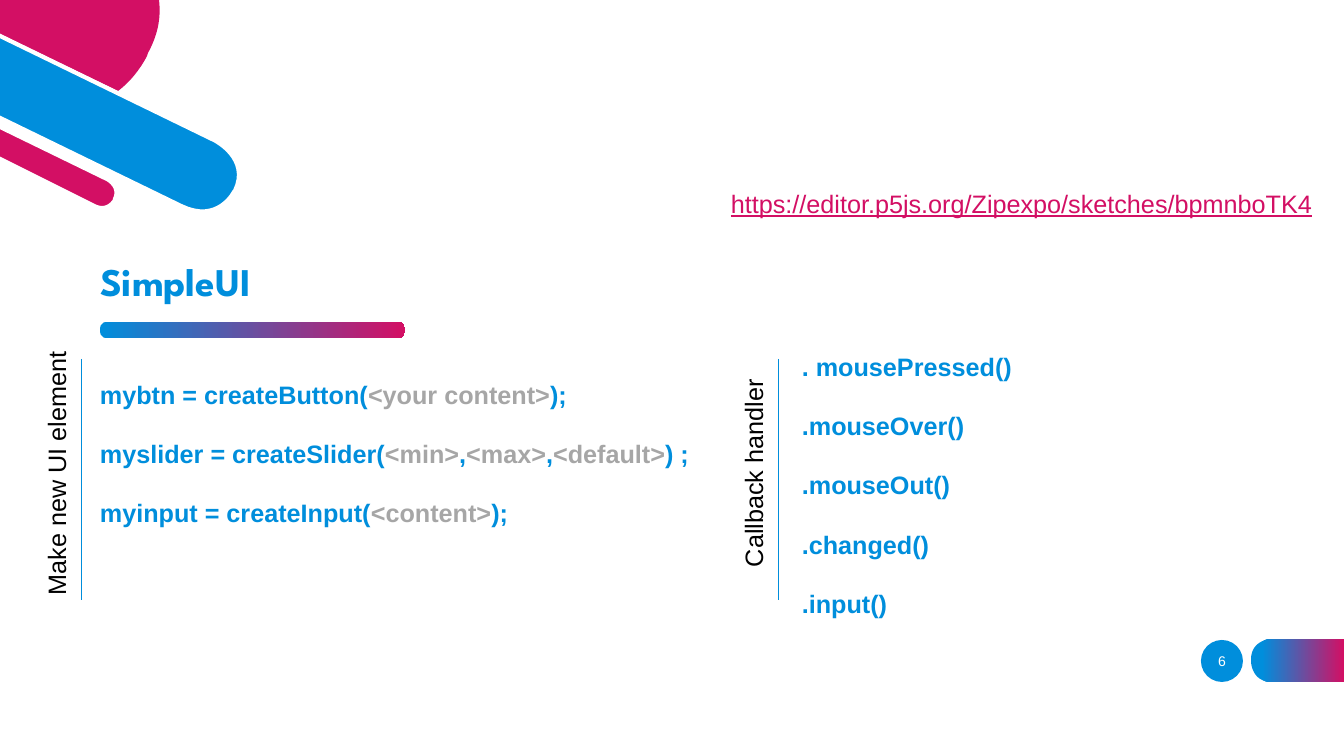
import pptx
import pptx.util
import pptx.dml.color
import pptx.enum.shapes
import pptx.enum.text
import pptx.oxml.ns
import lxml.etree

TITLE = "SimpleUI"
LINK = "https://editor.p5js.org/Zipexpo/sketches/bpmnboTK4"
PAGE_NUMBER = "6"
CREATORS = [
    ["mybtn = createButton(", "<your content>", ");"],
    ["myslider = createSlider(", "<min>", ",", "<max>", ",", "<default>", ") ;"],
    ["myinput = createInput(", "<content>", ");"],
]
HANDLERS = [[". mousePressed()"], [".mouseOver()"], [".mouseOut()"], [".changed()"], [".input()"]]
COLUMNS = [
    {"label": "Make new UI element", "label_width": 266, "rule_x": 81,
     "code": CREATORS, "code_box": (90, 359, 625, 204)},
    {"label": "Callback handler", "label_width": 210, "rule_x": 778,
     "code": HANDLERS, "code_box": (792, 331, 552, 204)},
]
COLORS = {"blue": "008EDC", "pink": "D30F64", "gray": "A6A6A6", "black": "000000", "white": "FFFFFF"}
DISC = [(147, 56), (147, 56, 137, 77, 118, 91), (0, 34), (0, 0), (159, 0), (161, 15, 159, 33, 148, 53)]
PILL = [(-6, 124), (107, 179), (107, 179, 121, 186, 115, 199), (115, 200),
        (115, 200, 108, 213, 94, 206), (-6, 156)]
BAND = [(214, 140), (214, 140, 251, 158, 235, 191), (234, 192),
        (234, 192, 218, 224, 181, 206), (-6, 115), (-6, 33)]
TAB = [(1272, 682), (1344, 682), (1344, 639), (1272, 639), (1272, 639, 1251, 639, 1251, 660),
       (1251, 661), (1251, 661, 1251, 682, 1272, 682)]
RULE_TOP, RULE_BOTTOM = 359, 600
LABEL_CENTER_Y, LABEL_HEIGHT, LABEL_GAP = 472, 40, 25
CURVE_STEPS = 16
SCALE = 914400 / 100.8


def emu(*pixels):
    return [pptx.util.Emu(round(pixel * SCALE)) for pixel in pixels]


def rgb(name):
    return pptx.dml.color.RGBColor.from_string(COLORS[name])


def flatten(outline):
    points = [outline[0]]
    for step in outline[1:]:
        if len(step) == 2:
            points.append(step)
            continue
        controls = [points[-1], step[:2], step[2:4], step[4:]]
        for index in range(1, CURVE_STEPS + 1):
            t = index / CURVE_STEPS
            weights = [(1 - t) ** 3, 3 * t * (1 - t) ** 2, 3 * t ** 2 * (1 - t), t ** 3]
            points.append(tuple(sum(w * c[axis] for w, c in zip(weights, controls)) for axis in (0, 1)))
    return points


def paint(shape, color, edge=None):
    shape.shadow.inherit = False
    shape.fill.solid()
    shape.fill.fore_color.rgb = rgb(color)
    if edge:
        shape.line.color.rgb = rgb(edge)
        shape.line.width = pptx.util.Pt(3)
    else:
        shape.line.fill.background()


def paint_gradient(shape, start):
    paint(shape, "blue")
    shape.fill.gradient()
    shape.fill.gradient_angle = 0
    for stop, color, position in zip(shape.fill.gradient_stops, ("blue", "pink"), (start, 1)):
        stop.color.rgb = rgb(color)
        stop.position = position


def add_outline(outline):
    points = [emu(*point) for point in flatten(outline)]
    builder = page.shapes.build_freeform(*points[0], scale=1.0)
    builder.add_line_segments(points[1:], close=True)
    return builder.convert_to_shape()


def style(span, color, size=18, bold=False, font="Arial"):
    span.font.name = font
    span.font.size = pptx.util.Pt(size)
    span.font.bold = bold
    span.font.color.rgb = rgb(color)


def add_line_of_text(frame, color):
    box = page.shapes.add_textbox(*emu(*frame))
    box.text_frame.word_wrap = False
    return box


def add_label(text, width, center_x):
    frame = (center_x - width / 2, LABEL_CENTER_Y - LABEL_HEIGHT / 2, width, LABEL_HEIGHT)
    box = add_single_line(text, frame, "black")
    box.rotation = 270


def add_single_line(text, frame, color):
    box = page.shapes.add_textbox(*emu(*frame))
    box.text_frame.word_wrap = False
    box.text_frame.text = text
    style(box.text_frame.paragraphs[0].runs[0], color)
    return box


def add_code(lines, frame):
    text_frame = page.shapes.add_textbox(*emu(*frame)).text_frame
    text_frame.word_wrap = True
    for index, parts in enumerate(lines):
        para = text_frame.add_paragraph() if index else text_frame.paragraphs[0]
        para.line_spacing = 1.5
        para.space_before = pptx.util.Pt(10)
        for position, part in enumerate(parts):
            span = para.add_run()
            span.text = part
            style(span, "gray" if position % 2 else "blue", bold=True)


def add_rule(x):
    rule = page.shapes.add_connector(
        pptx.enum.shapes.MSO_CONNECTOR.STRAIGHT, *emu(x, RULE_TOP, x, RULE_BOTTOM))
    rule.line.color.rgb = rgb("blue")
    rule.line.width = pptx.util.Pt(0.5)
    lxml.etree.SubElement(rule._element.spPr, pptx.oxml.ns.qn("a:effectLst"))


deck = pptx.Presentation()
deck.slide_width, deck.slide_height = emu(1344, 756)
page = deck.slides.add_slide(deck.slide_layouts[5])

for outline, color, edge in ((DISC, "pink", None), (PILL, "pink", "white"), (BAND, "blue", "white")):
    paint(add_outline(outline), color, edge)
paint_gradient(add_outline(TAB), 0.12)

bar = page.shapes.add_shape(pptx.enum.shapes.MSO_SHAPE.ROUNDED_RECTANGLE, *emu(100, 322, 305, 16))
bar.adjustments[0] = 0.4
paint_gradient(bar, 0)

title = page.shapes.title
title.left, title.top, title.width, title.height = emu(90, 235, 443, 75)
title.text_frame.text = TITLE
title.text_frame.vertical_anchor = pptx.enum.text.MSO_ANCHOR.BOTTOM
heading = title.text_frame.paragraphs[0]
heading.alignment = pptx.enum.text.PP_ALIGN.LEFT
heading.line_spacing = 0.9
style(heading.runs[0], "blue", 28, True, "League Spartan")

badge = page.shapes.add_shape(pptx.enum.shapes.MSO_SHAPE.OVAL, *emu(1201, 640, 42, 42))
paint(badge, "blue")
number = badge.text_frame
number.margin_left = number.margin_right = number.margin_top = number.margin_bottom = 0
number.vertical_anchor = pptx.enum.text.MSO_ANCHOR.MIDDLE
number.text = PAGE_NUMBER
number.paragraphs[0].alignment = pptx.enum.text.PP_ALIGN.CENTER
style(number.paragraphs[0].runs[0], "white", 10)

link = add_single_line(LINK, (721, 183, 614, 40), "pink")
link.text_frame.paragraphs[0].runs[0].font.underline = True

for column in COLUMNS:
    add_code(column["code"], column["code_box"])
    add_rule(column["rule_x"])
    add_label(column["label"], column["label_width"], column["rule_x"] - LABEL_GAP)

deck.save("out.pptx")
